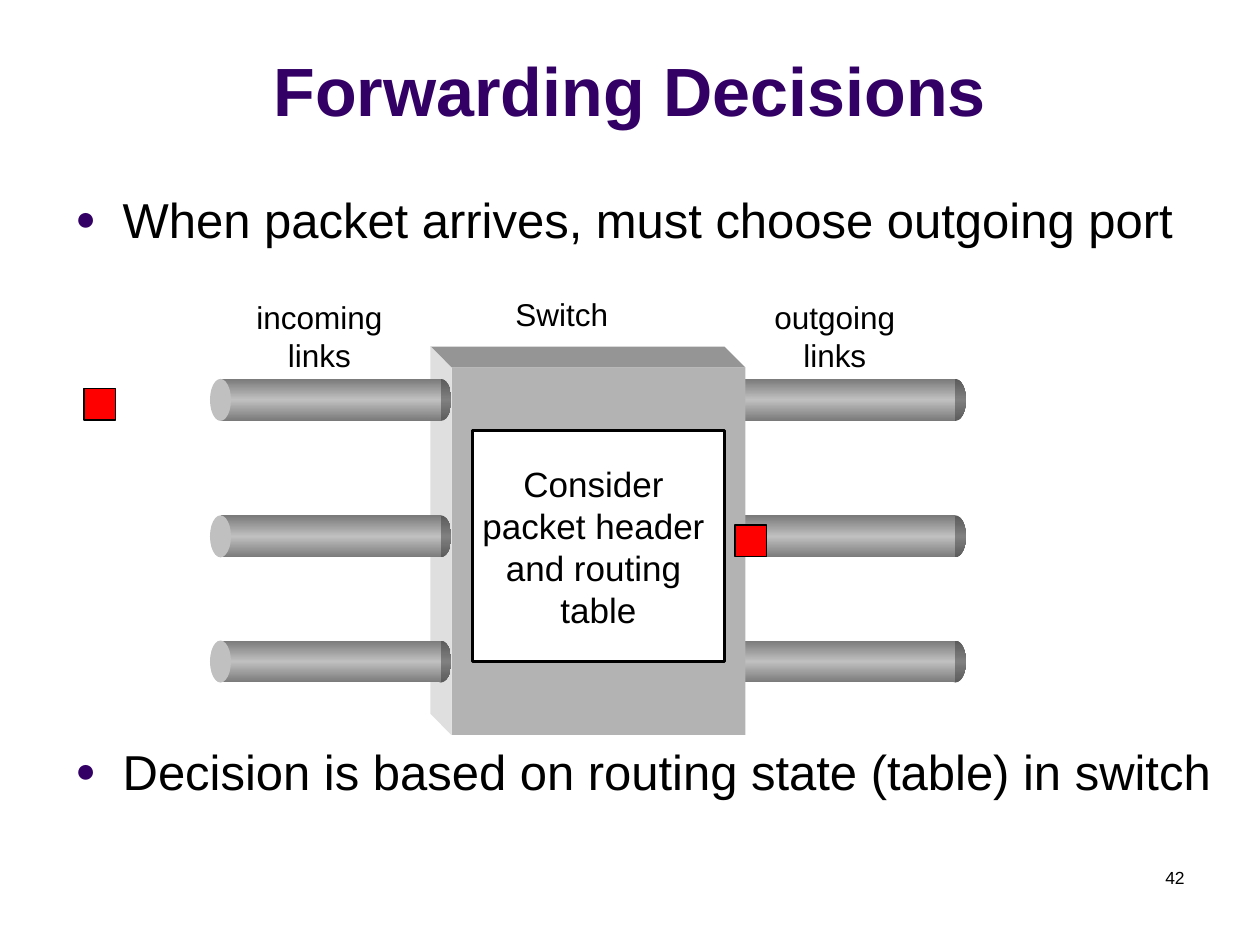
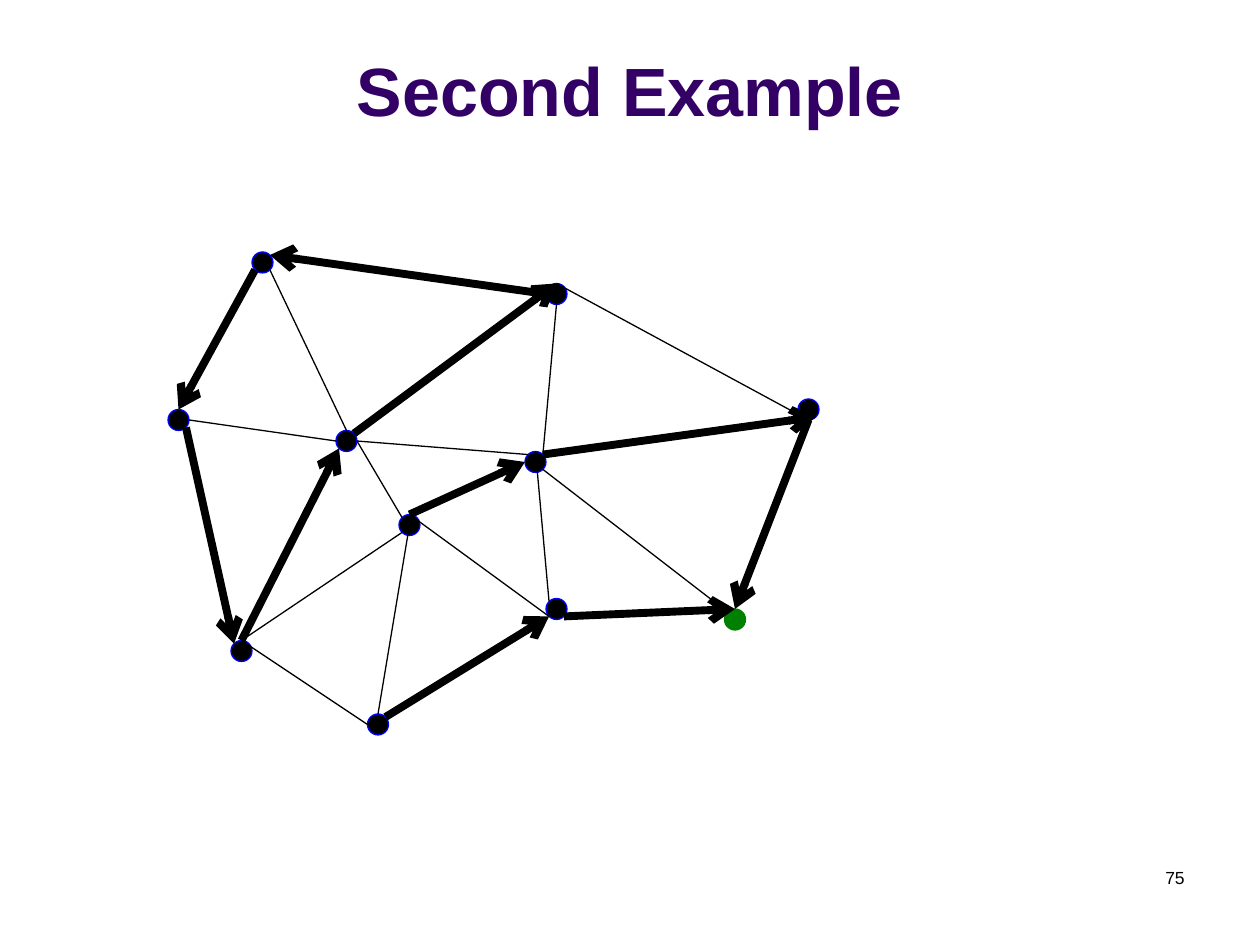
from math import cos, radians, sin

from lxml import etree
from pptx import Presentation
from pptx.dml.color import RGBColor
from pptx.enum.shapes import MSO_CONNECTOR, MSO_SHAPE
from pptx.enum.text import MSO_ANCHOR, PP_ALIGN
from pptx.oxml.ns import qn
from pptx.util import Pt

RECTANGLE, OVAL = MSO_SHAPE.RECTANGLE, MSO_SHAPE.OVAL
STRAIGHT = MSO_CONNECTOR.STRAIGHT
LEFT, CENTER, RIGHT = PP_ALIGN.LEFT, PP_ALIGN.CENTER, PP_ALIGN.RIGHT
TOP, MIDDLE, BOTTOM = MSO_ANCHOR.TOP, MSO_ANCHOR.MIDDLE, MSO_ANCHOR.BOTTOM

BLACK = RGBColor(0x00, 0x00, 0x00)
WHITE = RGBColor(0xFF, 0xFF, 0xFF)
PURPLE = RGBColor(0x33, 0x00, 0x66)
RED = RGBColor(0xFF, 0x00, 0x00)
BLUE = RGBColor(0x00, 0x00, 0xFF)
GREEN = RGBColor(0x00, 0x80, 0x00)
SWITCH_FRONT = RGBColor(0xB3, 0xB3, 0xB3)
SWITCH_TOP = RGBColor(0x95, 0x95, 0x95)
SWITCH_SIDE = RGBColor(0xDF, 0xDF, 0xDF)
PIPE_LIGHT = RGBColor(0xC0, 0xC0, 0xC0)
PIPE_DARK = RGBColor(0x7A, 0x7A, 0x7A)
CAP_LIGHT = RGBColor(0x80, 0x80, 0x80)
CAP_DARK = RGBColor(0x5B, 0x5B, 0x5B)

FONT = "Arial"
TITLE_BOX = (0, 9.5, 720, 68.5)
NUMBER_BOX = (516, 492, 168, 36)
BODY_BOX = (36, 104.5, 672, 381)
SWITCH_BOX = (246, 198, 180, 222)
NETWORK_BOX = (96, 144, 372, 276)
INSETS = (7.2, 3.6)

TITLE_FORMAT = {"size": Pt(39), "bold": True}
BODY_FORMAT = {"size": Pt(28)}
LABEL_FORMAT = {"size": Pt(18)}
DECISION_FORMAT = {"size": Pt(20)}
NUMBER_FORMAT = {"size": Pt(10)}

PIPE_TOPS = (18.5, 96.5, 168)
PIPE_LENGTH, PIPE_HEIGHT, CAP_WIDTH = 138, 24, 12
DEPTH = 12
PACKET_SIZE = 18

NODE_SIZE = 12
NODES = {
    "northwest": (54, 6), "west": (6, 96), "north": (222, 24),
    "south": (222, 204), "bottom": (120, 270), "inner": (102, 108),
    "east": (366, 90), "middle": (138, 156), "southwest": (42, 228),
    "hub": (210, 120), "target": (324, 210),
}
SIDES = {"E": 0, "SE": 45, "S": 90, "SW": 135, "W": 180, "NW": 225, "N": 270, "NE": 315}
LINKS = [
    ("northwest", "SE", "inner", "N"), ("inner", "E", "middle", "NW"),
    ("hub", "SE", "target", "NW"), ("north", "S", "hub", "NE"),
    ("north", "N", "east", "S"), ("southwest", "N", "bottom", "W"),
    ("middle", "N", "south", "SW"), ("hub", "N", "south", "NW"),
    ("middle", None, "bottom", "N"), ("inner", "E", "hub", "NW"),
    ("west", "E", "inner", "W"), ("southwest", "N", "middle", "SW"),
]
ROUTES = [
    ("northwest", "SW", "west", "N"), ("west", "SE", "southwest", "NW"),
    ("east", "S", "target", "N"), ("south", "SE", "target", "N"),
    ("bottom", "NE", "south", "SW"), ("southwest", "N", "inner", "SW"),
    ("middle", "N", "hub", "W"), ("hub", "NE", "east", "SE"),
    ("north", "W", "northwest", "NE"), ("inner", "NE", "north", "N"),
]


def points(values):
    return [Pt(value) for value in values]


def write_text(shape, lines, formats, color=BLACK, align=LEFT, anchor=TOP, wrap=True, insets=INSETS):
    frame = shape.text_frame
    frame.word_wrap = wrap
    frame.vertical_anchor = anchor
    frame.margin_left = frame.margin_right = Pt(insets[0])
    frame.margin_top = frame.margin_bottom = Pt(insets[1])
    for index, line in enumerate(lines):
        paragraph = frame.add_paragraph() if index else frame.paragraphs[0]
        paragraph.alignment = align
        run = paragraph.add_run()
        run.text = line
        run.font.name = FONT
        run.font.color.rgb = color
        for name, value in formats.items():
            setattr(run.font, name, value)
    return frame


def add_text(slide, box, lines, formats, **options):
    return write_text(slide.shapes.add_textbox(*points(box)), lines, formats, **options)


def paint(shape, fill, line=None, width=0.75):
    shape.shadow.inherit = False
    shape.fill.solid()
    shape.fill.fore_color.rgb = fill
    if line is None:
        shape.line.fill.background()
    else:
        shape.line.color.rgb = line
        shape.line.width = Pt(width)
    return shape


def add_shape(slide, kind, box, fill, line=None, width=0.75):
    return paint(slide.shapes.add_shape(kind, *points(box)), fill, line, width)


def shade(shape, dark, light):
    shape.fill.gradient()
    shape.fill.gradient_angle = 90
    stops = shape.fill.gradient_stops
    stop_list = next(shape.element.spPr.iter(qn("a:gsLst")))
    for stop in list(stop_list)[:len(stops)]:
        stop_list.remove(stop)
    for position, color in ((0, dark), (50000, light), (100000, dark)):
        stop = etree.SubElement(stop_list, qn("a:gs"), pos=str(position))
        etree.SubElement(stop, qn("a:srgbClr"), val=str(color))


def add_polygon(slide, corners, fill):
    builder = slide.shapes.build_freeform(*points(corners[0]))
    builder.add_line_segments([points(corner) for corner in corners[1:]])
    paint(builder.convert_to_shape(), fill)


def add_pipe(slide, left, top):
    body_left = left + CAP_WIDTH / 2
    body_length = PIPE_LENGTH - CAP_WIDTH
    cap = (top, CAP_WIDTH, PIPE_HEIGHT)
    far_end = add_shape(slide, OVAL, (left + body_length, *cap), CAP_DARK)
    shade(far_end, CAP_DARK, CAP_LIGHT)
    body = add_shape(slide, RECTANGLE, (body_left, top, body_length, PIPE_HEIGHT), PIPE_DARK)
    shade(body, PIPE_DARK, PIPE_LIGHT)
    add_shape(slide, OVAL, (left, *cap), PIPE_LIGHT)


def add_switch(slide, box):
    left, top, width, height = box
    right, bottom = left + width, top + height
    front_left, front_top = left + DEPTH, top + DEPTH
    for offset in reversed(PIPE_TOPS):
        add_pipe(slide, right - DEPTH, top + offset)
    add_shape(slide, RECTANGLE, (front_left, front_top, width - DEPTH, height - DEPTH), SWITCH_FRONT)
    add_polygon(slide, [(left, top), (right - DEPTH, top), (right, front_top),
                        (front_left, front_top)], SWITCH_TOP)
    add_polygon(slide, [(left, top), (front_left, front_top), (front_left, bottom),
                        (left, bottom - DEPTH)], SWITCH_SIDE)
    for offset in PIPE_TOPS:
        add_pipe(slide, front_left - PIPE_LENGTH, top + offset)
    for text, offset, rise, label_width, wrap in (
            ("incoming links", -117.5, 27.5, 108, True),
            ("outgoing links", 176, 27.5, 110, False),
            ("Switch", 48.5, 29.5, 53, False)):
        add_text(slide, (left + offset, top - rise, label_width, 21.5), [text],
                 LABEL_FORMAT, align=CENTER, wrap=wrap, insets=(0, 0))
    for packet_left, packet_top in ((left - 198, top + 24), (right - 6, top + 102)):
        add_shape(slide, RECTANGLE, (packet_left, packet_top, PACKET_SIZE, PACKET_SIZE), RED, BLACK)
    decision = add_shape(slide, RECTANGLE, (left + 24, top + 48, 144, 132), WHITE, BLACK, 2)
    write_text(decision, ["Consider ", "packet header ", "and routing ", "table"],
               DECISION_FORMAT, align=CENTER, anchor=MIDDLE, wrap=False)


def add_bullets(slide, box, lines, gap):
    frame = add_text(slide, box, lines, BODY_FORMAT)
    for index, paragraph in enumerate(frame.paragraphs):
        if index:
            paragraph.space_before = Pt(gap)
        properties = paragraph._p.get_or_add_pPr()
        properties.set("marL", str(Pt(27)))
        properties.set("indent", str(-Pt(27)))
        color = etree.SubElement(properties, qn("a:buClr"))
        etree.SubElement(color, qn("a:srgbClr"), val=str(PURPLE))
        etree.SubElement(properties, qn("a:buSzPct"), val="70000")
        etree.SubElement(properties, qn("a:buFont"), typeface=FONT)
        etree.SubElement(properties, qn("a:buChar"), char="●")


def node_point(box, node, side):
    x, y = box[0] + NODES[node][0], box[1] + NODES[node][1]
    if side is None:
        return x, y
    angle = radians(SIDES[side])
    return x + NODE_SIZE / 2 * cos(angle), y + NODE_SIZE / 2 * sin(angle)


def add_link(slide, box, link, width, arrow):
    start, start_side, end, end_side = link
    ends = node_point(box, start, start_side) + node_point(box, end, end_side)
    connector = slide.shapes.add_connector(STRAIGHT, *points(ends))
    connector.line.color.rgb = BLACK
    connector.line.width = Pt(width)
    if arrow:
        etree.SubElement(connector.line._get_or_add_ln(), qn("a:tailEnd"), type="arrow")
    etree.SubElement(connector._element.spPr, qn("a:effectLst"))


def add_network(slide, box):
    for name in NODES:
        x, y = node_point(box, name, None)
        fill, line = (GREEN, GREEN) if name == "target" else (BLACK, BLUE)
        radius = NODE_SIZE / 2
        add_shape(slide, OVAL, (x - radius, y - radius, NODE_SIZE, NODE_SIZE), fill, line)
    for links, width, arrow in ((LINKS, 0.75, False), (ROUTES, 4.5, True)):
        for link in links:
            add_link(slide, box, link, width, arrow)


def add_slide(presentation, title, number):
    slide = presentation.slides.add_slide(presentation.slide_layouts[6])
    add_text(slide, TITLE_BOX, [title], TITLE_FORMAT, color=PURPLE, align=CENTER, anchor=BOTTOM)
    add_text(slide, NUMBER_BOX, [number], NUMBER_FORMAT, align=RIGHT)
    return slide


def main():
    presentation = Presentation()
    presentation.slide_width, presentation.slide_height = Pt(720), Pt(540)
    forwarding = add_slide(presentation, "Forwarding Decisions", "42")
    add_bullets(forwarding, BODY_BOX, ["When packet arrives, must choose outgoing port",
                                       "Decision is based on routing state (table) in switch"], 282)
    add_switch(forwarding, SWITCH_BOX)
    example = add_slide(presentation, "Second Example", "75")
    add_network(example, NETWORK_BOX)
    presentation.save("out.pptx")


if __name__ == "__main__":
    main()
